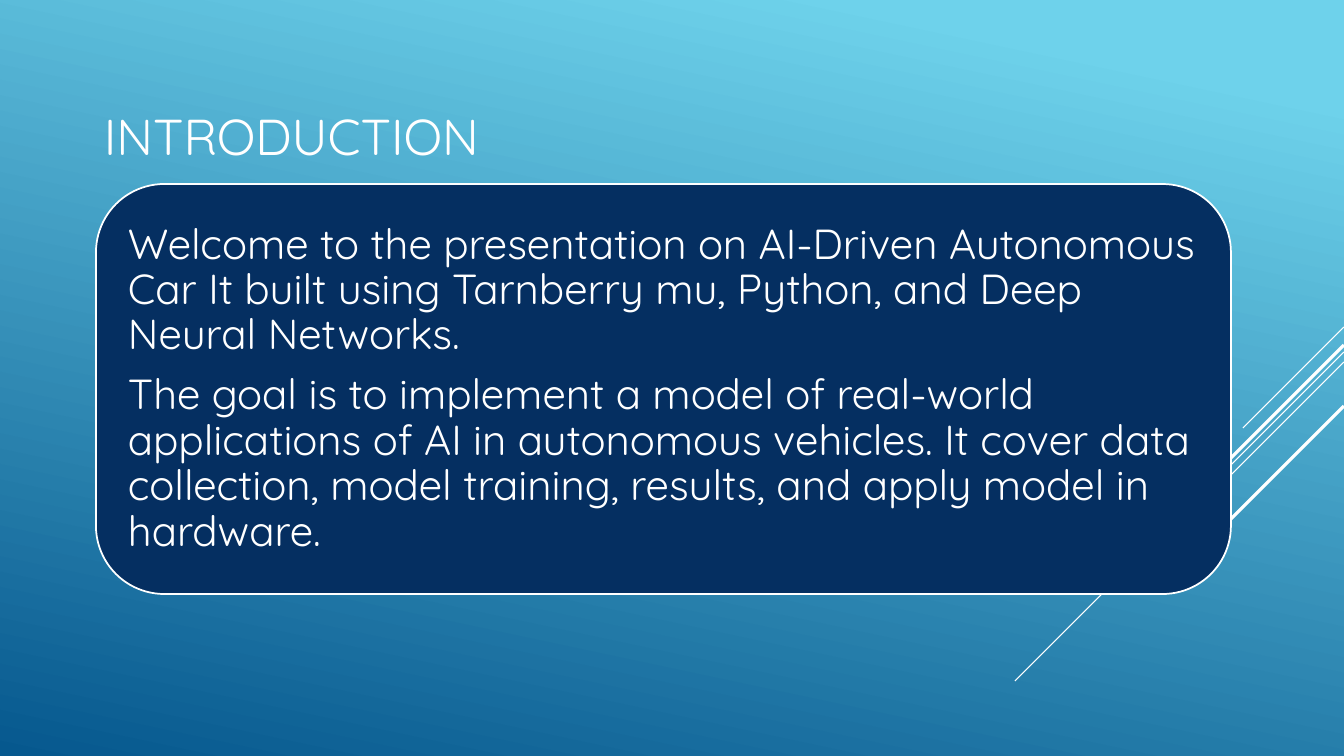
from pptx import Presentation
from pptx import util as u
from pptx.dml.color import RGBColor
from pptx.enum import shapes, text
from pptx.oxml import ns
from lxml import etree

WHITE = RGBColor(0xFF, 0xFF, 0xFF)
NAVY = RGBColor(0x05, 0x2F, 0x61)
SKY = RGBColor(0x6E, 0xD2, 0xEB)
DEEP_BLUE = RGBColor(0x06, 0x58, 0x8E)
FONT = "Quicksand"
PAGE_WIDTH, PAGE_HEIGHT = 1344, 756

# Diagonal rays: height at the right edge, horizontal run, line width in points
RAYS = [(327, 101, 0.75), (352, 329, 0.75), (362, 209, 0.75),
        (345, 193, 2.25), (406, 140, 2.25)]

INTRODUCTION = [
    "Welcome to the presentation on AI-Driven Autonomous Car It built using "
    "Tarnberry mu, Python, and Deep Neural Networks.",
    "The goal is to implement a model of real-world applications of AI in "
    "autonomous vehicles. It cover data collection, model training, results, "
    "and apply model in hardware.",
]


def px(length):
    return u.Emu(round(length * 914400 / 100.8))


def set_font(para, size):
    para.font.name = FONT
    para.font.size = u.Pt(size)
    para.font.color.rgb = WHITE


def paint_background(page):
    fill = page.background.fill
    fill.gradient()
    fill.gradient_angle = 258
    for stop, position, color in zip(fill.gradient_stops, (0.1, 1), (SKY, DEEP_BLUE)):
        stop.position = position
        stop.color.rgb = color


def add_ray(page, top, run, width):
    ray = page.shapes.add_connector(
        shapes.MSO_CONNECTOR.STRAIGHT,
        px(PAGE_WIDTH), px(top), px(PAGE_WIDTH - run), px(top + run))
    ray.line.color.rgb = WHITE
    ray.line.width = u.Pt(width)
    etree.SubElement(ray._element.spPr, ns.qn("a:effectLst"))


def place_title(page, wording, left, top, width, height):
    title = page.shapes.title
    title.left, title.top, title.width, title.height = map(px, (left, top, width, height))
    frame = title.text_frame
    frame.text = wording
    frame.vertical_anchor = text.MSO_ANCHOR.MIDDLE
    para = frame.paragraphs[0]
    para.alignment = text.PP_ALIGN.RIGHT
    set_font(para, 36)


def add_panel(page, wordings, left, top, width, height):
    panel = page.shapes.add_shape(
        shapes.MSO_SHAPE.ROUNDED_RECTANGLE, *map(px, (left, top, width, height)))
    panel.shadow.inherit = False
    panel.fill.solid()
    panel.fill.fore_color.rgb = NAVY
    panel.line.color.rgb = WHITE
    panel.line.width = u.Pt(1.25)

    frame = panel.text_frame
    frame.word_wrap = True
    frame.vertical_anchor = text.MSO_ANCHOR.MIDDLE
    frame.margin_left = frame.margin_right = px(12)
    frame.margin_top = frame.margin_bottom = px(12)
    for index, wording in enumerate(wordings):
        para = frame.add_paragraph() if index else frame.paragraphs[0]
        para.text = wording
        para.alignment = text.PP_ALIGN.LEFT
        para.line_spacing = 0.9
        para.space_after = u.Pt(10.5)
        set_font(para, 30)


def main():
    deck = Presentation()
    deck.slide_width, deck.slide_height = px(PAGE_WIDTH), px(PAGE_HEIGHT)
    page = deck.slides.add_slide(deck.slide_layouts[5])

    # Backdrop
    paint_background(page)
    for ray in RAYS:
        add_ray(page, *ray)

    # Content
    place_title(page, "INTRODUCTION", 76, 76, 413, 119)
    add_panel(page, INTRODUCTION, 96, 184, 1135, 410)

    deck.save("out.pptx")


if __name__ == "__main__":
    main()
